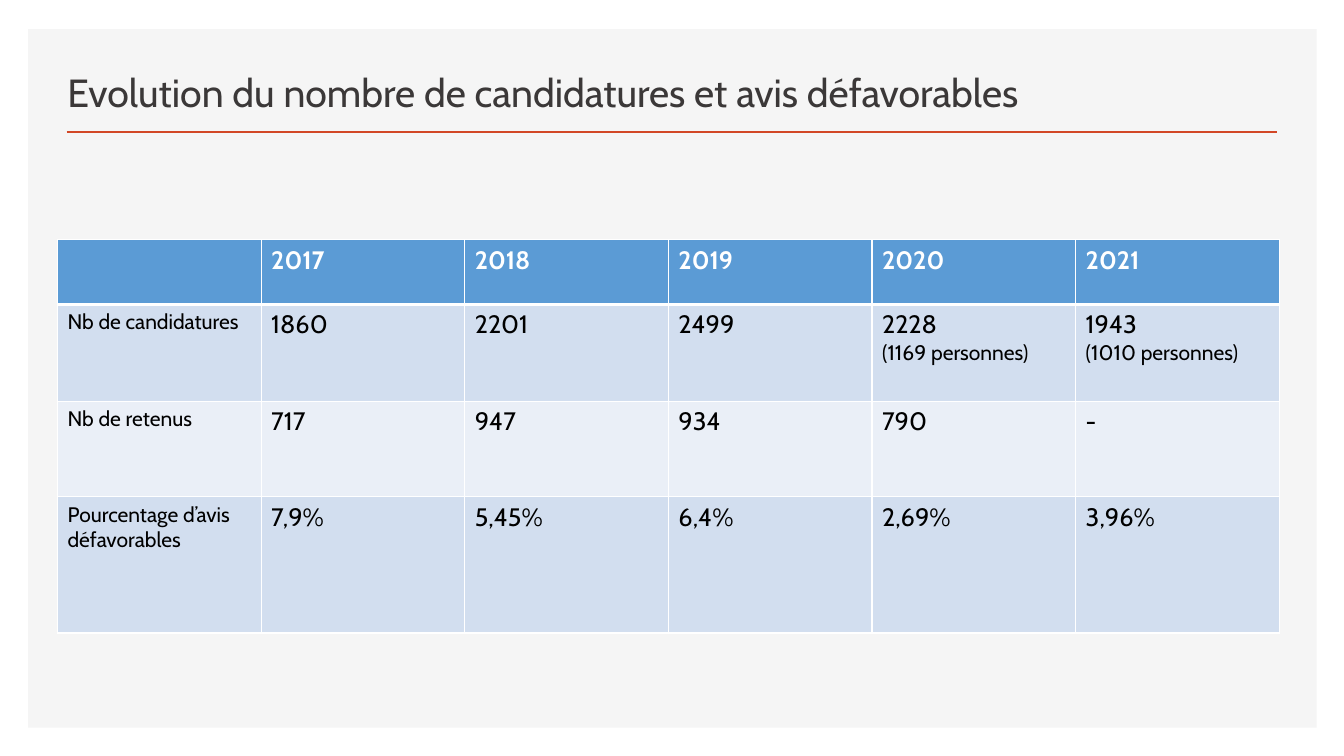
"""Build the slide on applications and unfavourable opinions, 2017 to 2021."""
from lxml import etree
from pptx import Presentation
from pptx.dml.color import RGBColor
from pptx.enum.shapes import MSO_CONNECTOR, MSO_SHAPE
from pptx.enum.text import MSO_ANCHOR
from pptx.oxml.ns import qn
from pptx.util import Inches, Pt

RECT = MSO_SHAPE.RECTANGLE
LINE = MSO_CONNECTOR.STRAIGHT
BOTTOM = MSO_ANCHOR.BOTTOM


class Theme:
    font = "Cabin"
    panel, rule, title = "F5F5F5", "D24726", "3B3838"
    head, odd, even = "5B9BD5", "D2DEEF", "EAEFF7"
    white, black = "FFFFFF", "000000"
    big, mid, small = 28, 18, 15


def style(para, size, color, bold=False):
    para.font.color.rgb = RGBColor.from_string(color)
    values = {"name": Theme.font, "size": Pt(size), "bold": bold}
    for name, value in values.items():
        setattr(para.font, name, value)


def border(cell, side, width):
    props = cell._tc.get_or_add_tcPr()
    line = etree.SubElement(props, qn("a:" + side), w=str(Pt(width)))
    fill = etree.SubElement(line, qn("a:solidFill"))
    etree.SubElement(fill, qn("a:srgbClr"), val=Theme.white)


deck = Presentation()
deck.slide_width, deck.slide_height = Inches(13.33), Inches(7.5)
slide = deck.slides.add_slide(deck.slide_layouts[6])
shapes = slide.shapes

panel = shapes.add_shape(RECT, Inches(0.28), Inches(0.29), Inches(12.78), Inches(6.93))
panel.shadow.inherit = False
panel.fill.solid()
panel.fill.fore_color.rgb = RGBColor.from_string(Theme.panel)
panel.line.fill.background()

rule = shapes.add_connector(LINE, Inches(0.66), Inches(1.31), Inches(12.67), Inches(1.31))
rule.line.color.rgb = RGBColor.from_string(Theme.rule)
rule.line.width = Pt(2)
etree.SubElement(rule._element.spPr, qn("a:effectLst"))

title = shapes.add_textbox(Inches(0.57), Inches(0.49), Inches(11.33), Inches(0.7))
frame = title.text_frame
frame.word_wrap = True
frame.vertical_anchor = BOTTOM
frame.text = "Evolution du nombre de candidatures et avis défavorables"
style(frame.paragraphs[0], Theme.big, Theme.title)

rows = [
    ["", "2017", "2018", "2019", "2020", "2021"],
    ["Nb de candidatures", "1860", "2201", "2499",
     "2228\n(1169 personnes)", "1943\n(1010 personnes)"],
    ["Nb de retenus", "717", "947", "934", "790", "-"],
    ["Pourcentage d’avis défavorables", "7,9%", "5,45%", "6,4%", "2,69%", "3,96%"],
]
fills = [Theme.head, Theme.odd, Theme.even, Theme.odd]
heights = [0.64, 0.96, 0.95, 1.35]

table = shapes.add_table(len(rows), len(rows[0]), Inches(0.57), Inches(2.38),
                         Inches(12.12), Inches(sum(heights))).table
for col in table.columns:
    col.width = Inches(2.02)

for r, texts in enumerate(rows):
    table.rows[r].height = Inches(heights[r])
    head = r == 0
    for c, text in enumerate(texts):
        cell = table.cell(r, c)
        for side in ("lnL", "lnR", "lnT", "lnB"):
            thick = (head and side == "lnB") or (r == 1 and side == "lnT")
            border(cell, side, 3 if thick else 1)
        cell.fill.solid()
        cell.fill.fore_color.rgb = RGBColor.from_string(fills[r])
        cell.text = text
        for p, para in enumerate(cell.text_frame.paragraphs):
            label = p > 0 or (c == 0 and not head)
            style(para, Theme.small if label else Theme.mid,
                  Theme.white if head else Theme.black, head)

deck.save("out.pptx")
